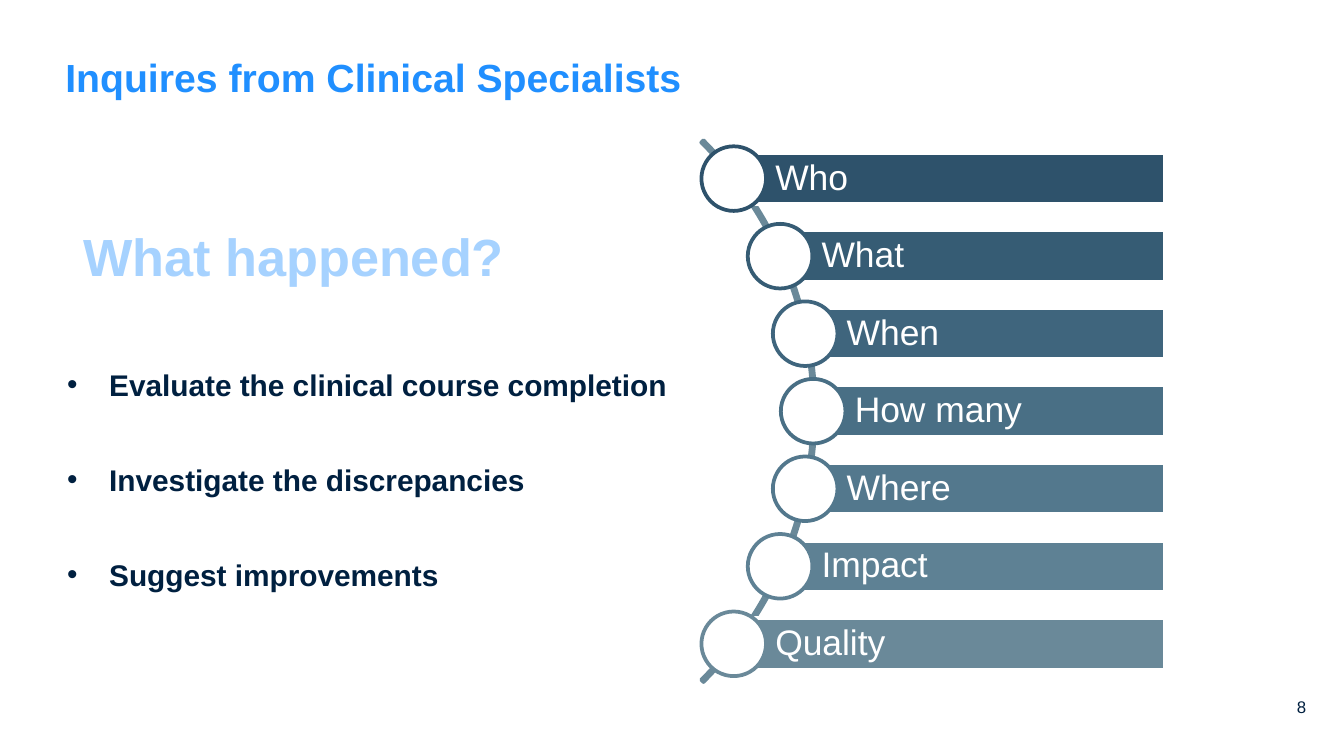
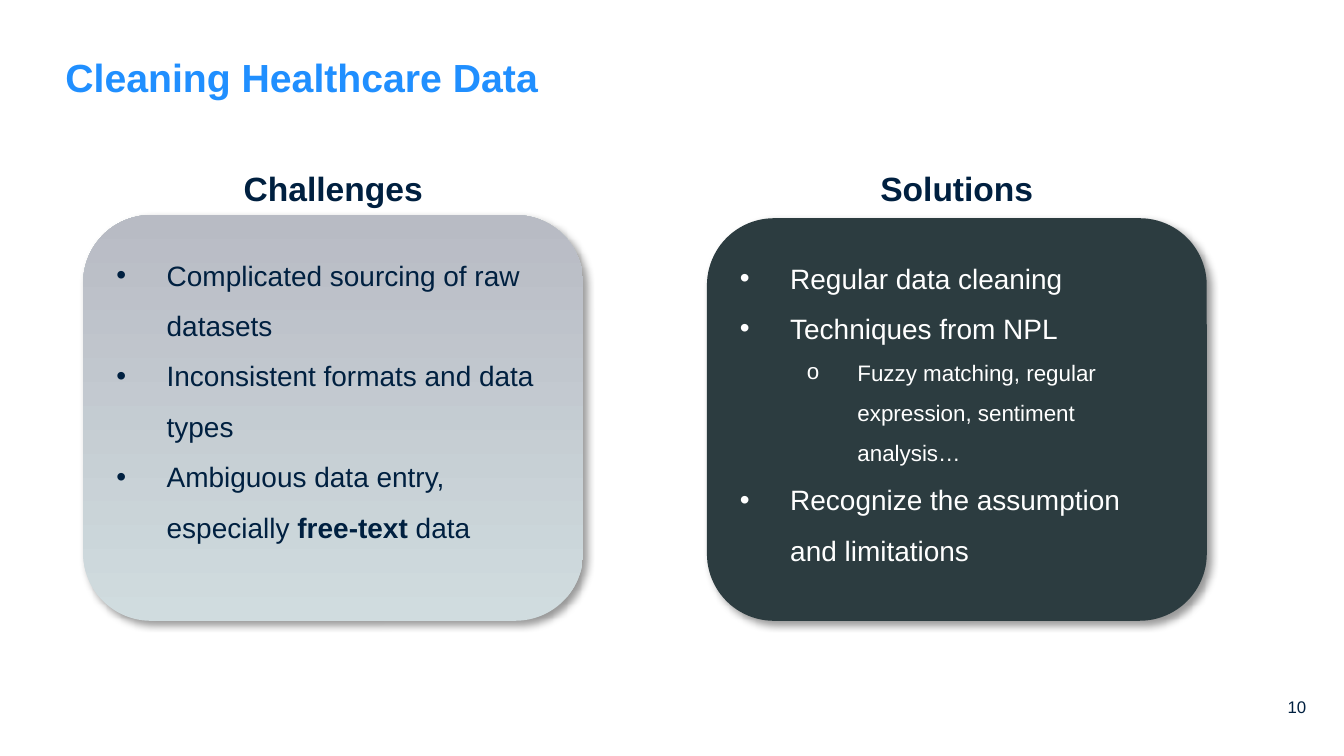
from math import sqrt

from lxml.etree import SubElement
from pptx import Presentation
from pptx.dml.color import RGBColor
from pptx.enum.shapes import MSO_SHAPE as Shape
from pptx.enum.text import MSO_ANCHOR as Anchor, PP_ALIGN as Align
from pptx.oxml.ns import qn
from pptx.util import Pt

FONT = "Arial"
COLORS = {
    "title": "208FFF", "ink": "002040", "white": "FFFFFF", "question": "A6D2FF",
    "arc": "6A8999", "dark card": "2C3C40",
    "card bottom": "D0DCDF", "card top": "B8BBC4", "shadow": "000000",
}

INQUIRIES = {
    "title": "Inquires from Clinical Specialists",
    "number": "8",
    "question": "What happened?",
    "tasks": [
        "Evaluate the clinical course completion",
        "Investigate the discrepancies",
        "Suggest improvements",
    ],
    "aspects": [
        ("Who", "2E526B"), ("What", "365C74"), ("When", "3F657D"),
        ("How many", "496F85"), ("Where", "53788D"), ("Impact", "5E8194"),
        ("Quality", "6A8999"),
    ],
}

# Each card point is a level and its (text, bold) spans.
CLEANING = {
    "title": "Cleaning Healthcare Data",
    "number": "10",
    "cards": [
        {
            "heading": "Challenges", "left": 44.6, "top": 115.2,
            "fill": ("card bottom", "card top"), "ink": "ink",
            "points": [
                (0, [("Complicated sourcing of raw datasets", False)]),
                (0, [("Inconsistent formats and data types", False)]),
                (0, [("Ambiguous data entry, especially ", False),
                     ("free-text ", True), ("data", False)]),
            ],
        },
        {
            "heading": "Solutions", "left": 378.7, "top": 116.9,
            "fill": ("dark card",), "ink": "white",
            "points": [
                (0, [("Regular data cleaning", False)]),
                (0, [("Techniques from NPL", False)]),
                (1, [("Fuzzy matching, regular expression, sentiment analysis…", False)]),
                (0, [("Recognize the assumption and limitations", False)]),
            ],
        },
    ],
}
CARD_WIDTH, CARD_BOTTOM = 267.8, 332.6
LEVEL_SIZES = (15, 12)


def rgb(name):
    return RGBColor.from_string(COLORS.get(name, name))


def points(*lengths):
    return [Pt(length) for length in lengths]


def set_frame(frame, insets=(0, 0, 0, 0), anchor=Anchor.TOP, wrap=True):
    """Set insets (left, top, right, bottom), anchor and wrapping."""
    (frame.margin_left, frame.margin_top,
     frame.margin_right, frame.margin_bottom) = points(*insets)
    frame.vertical_anchor = anchor
    frame.word_wrap = wrap


def add_span(para, text, size, color, bold=False):
    span = para.add_run()
    span.text = text
    span.font.name = FONT
    span.font.size = Pt(size)
    span.font.bold = bold
    span.font.color.rgb = rgb(color)


def next_paragraph(frame, index):
    return frame.add_paragraph() if index else frame.paragraphs[0]


def add_bullet(para, char, left, hang):
    properties = para._p.get_or_add_pPr()
    properties.set("marL", str(Pt(left)))
    properties.set("indent", str(-Pt(hang)))
    SubElement(properties, qn("a:buFont"), typeface=FONT)
    SubElement(properties, qn("a:buChar"), char=char)


def add_label(page, area, text, size, color, bold=False, align=Align.CENTER,
              insets=(7.2, 3.6, 7.2, 3.6), wrap=True):
    box = page.shapes.add_textbox(*points(*area))
    set_frame(box.text_frame, insets, wrap=wrap)
    para = box.text_frame.paragraphs[0]
    para.alignment = align
    add_span(para, text, size, color, bold)


def add_plain_shape(page, kind, area, fill=None, line=None):
    shape = page.shapes.add_shape(kind, *points(*area))
    shape.shadow.inherit = False
    if fill:
        shape.fill.solid()
        shape.fill.fore_color.rgb = rgb(fill)
    else:
        shape.fill.background()
    if line:
        shape.line.color.rgb = rgb(line)
        shape.line.width = Pt(2)
    else:
        shape.line.fill.background()
    return shape


def add_page(deck, content):
    """Add a slide with its title and page number."""
    page = deck.slides.add_slide(deck.slide_layouts[5])
    title = page.shapes.title
    title.left, title.top, title.width, title.height = points(35, 32.6, 622.8, 49)
    set_frame(title.text_frame)
    para = title.text_frame.paragraphs[0]
    para.alignment = Align.LEFT
    para.line_spacing = Pt(21)
    add_span(para, content["title"], 21, "title", True)
    add_label(page, (676, 373, 23.8, 15), content["number"], 9, "ink",
              align=Align.RIGHT, insets=(0, 0, 0, 0))
    return page


def add_tasks(page, tasks):
    box = page.shapes.add_textbox(*points(36, 144.7, 337, 164))
    set_frame(box.text_frame, (0, 46, 0, 0))
    for index, task in enumerate(tasks):
        para = next_paragraph(box.text_frame, index)
        add_bullet(para, "•", 22.5, 22.5)
        para.line_spacing = 1.3
        if index:
            para.space_before = Pt(26)
        add_span(para, task, 16, "ink", True)


def add_aspects(page, aspects):
    """Place circles with bars at equal heights along an arc."""
    center_x, center_y, radius = 231.8, 220.3, 203.8
    pitch, circle, bar_height, bar_right = 41.54, 34.6, 27.4, 624.2
    arc_size = 410.4
    arc = add_plain_shape(page, Shape.BLOCK_ARC,
                          (center_x - arc_size / 2, center_y - arc_size / 2,
                           arc_size, arc_size), line="arc")
    for index, value in enumerate((189, 27, 0.004)):
        arc.adjustments[index] = value

    for index, (name, color) in enumerate(aspects):
        rise = (index - (len(aspects) - 1) / 2) * pitch
        x, y = center_x + sqrt(radius ** 2 - rise ** 2), center_y + rise
        bar = add_plain_shape(page, Shape.RECTANGLE,
                              (x, y - bar_height / 2, bar_right - x, bar_height),
                              color, "white")
        set_frame(bar.text_frame, (22.3, 3.6, 3.6, 3.6), Anchor.MIDDLE)
        para = bar.text_frame.paragraphs[0]
        para.alignment = Align.LEFT
        para.line_spacing = 0.9
        add_span(para, name, 19, "white")
        add_plain_shape(page, Shape.OVAL,
                        (x - circle / 2, y - circle / 2, circle, circle),
                        "white", color)


def add_soft_shadow(shape):
    effects = shape._element.spPr.find(qn("a:effectLst"))
    shadow = SubElement(effects, qn("a:outerShdw"), blurRad=str(Pt(4)),
                        dist=str(Pt(3)), dir="2700000", algn="tl", rotWithShape="0")
    color = SubElement(shadow, qn("a:srgbClr"), val=COLORS["shadow"])
    SubElement(color, qn("a:alpha"), val="40000")


def add_card(page, card):
    left, top = card["left"], card["top"]
    heading_width = 147.6
    add_label(page, (left + (CARD_WIDTH - heading_width) / 2, 86.4, heading_width, 29),
              card["heading"], 18, "ink", True)
    shape = add_plain_shape(page, Shape.ROUNDED_RECTANGLE,
                            (left, top, CARD_WIDTH, CARD_BOTTOM - top), card["fill"][0])
    if len(card["fill"]) > 1:
        shape.fill.gradient()
        shape.fill.gradient_angle = 90
        for stop, color in zip(shape.fill.gradient_stops, card["fill"]):
            stop.color.rgb = rgb(color)
    add_soft_shadow(shape)
    set_frame(shape.text_frame, (7.2, 3.6, 7.2, 3.6))
    for index, (level, spans) in enumerate(card["points"]):
        para = next_paragraph(shape.text_frame, index)
        add_bullet(para, "•o"[level], 27 + 36 * level, 27)
        para.level = level
        para.alignment = Align.LEFT
        para.line_spacing = 1.5
        for text, bold in spans:
            add_span(para, text, LEVEL_SIZES[level], card["ink"], bold)


def main():
    deck = Presentation()
    deck.slide_width, deck.slide_height = points(720, 405)

    page = add_page(deck, INQUIRIES)
    add_tasks(page, INQUIRIES["tasks"])
    add_aspects(page, INQUIRIES["aspects"])
    add_label(page, (36, 116.6, 242.6, 41), INQUIRIES["question"], 28,
              "question", True, wrap=False)

    page = add_page(deck, CLEANING)
    for card in CLEANING["cards"]:
        add_card(page, card)

    deck.save("out.pptx")


if __name__ == "__main__":
    main()
